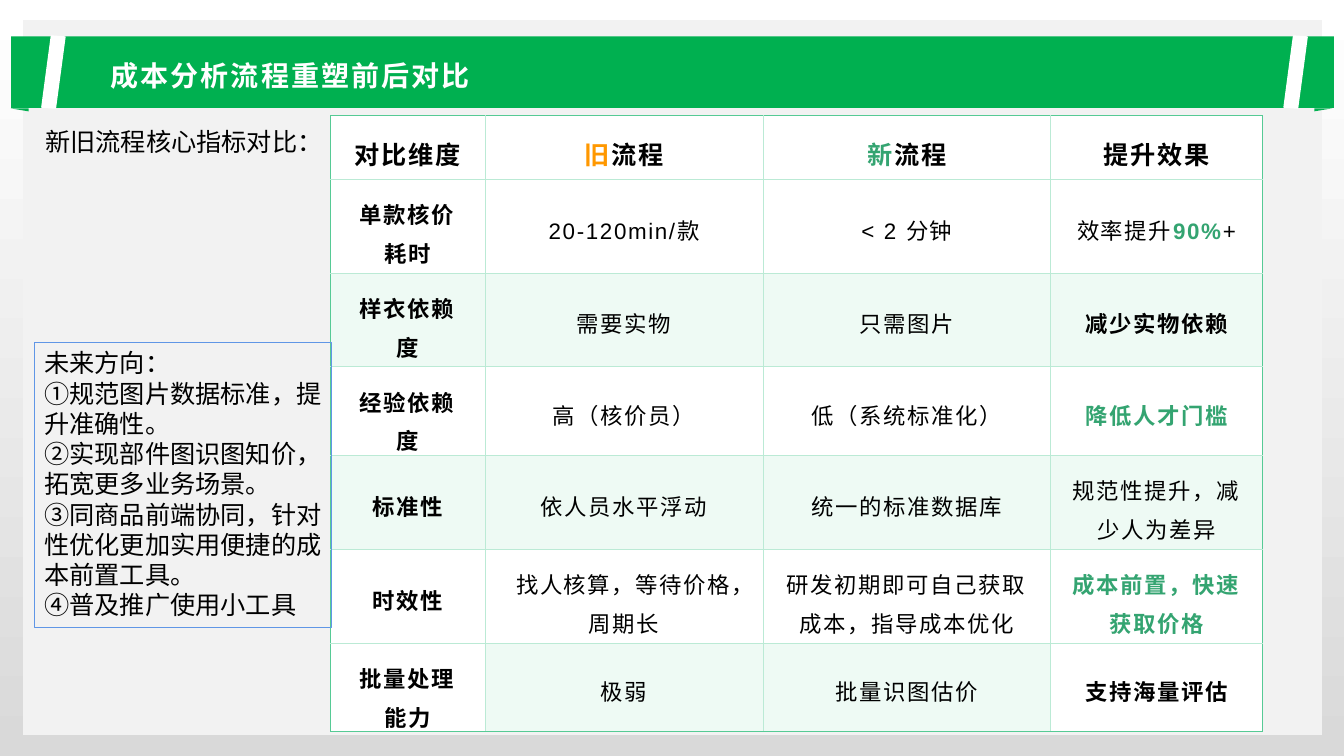
from lxml import etree
from pptx import Presentation
from pptx.dml.color import RGBColor
from pptx.enum.shapes import MSO_SHAPE
from pptx.enum.text import MSO_ANCHOR, MSO_AUTO_SIZE, PP_ALIGN
from pptx.oxml.ns import qn
from pptx.util import Inches, Pt

RECT, TRIANGLE, SLANT = MSO_SHAPE.RECTANGLE, MSO_SHAPE.ISOSCELES_TRIANGLE, MSO_SHAPE.PARALLELOGRAM
MIDDLE, TOP = MSO_ANCHOR.MIDDLE, MSO_ANCHOR.TOP
LEFT, CENTER = PP_ALIGN.LEFT, PP_ALIGN.CENTER
FIXED, GROW = MSO_AUTO_SIZE.NONE, MSO_AUTO_SIZE.SHAPE_TO_FIT_TEXT

WHITE = RGBColor(0xFF, 0xFF, 0xFF)
BLACK = RGBColor(0, 0, 0)
SILVER = RGBColor(0xD9, 0xD9, 0xD9)
PANEL = RGBColor(0xF2, 0xF2, 0xF2)
BANNER = RGBColor(0x00, 0xB0, 0x50)
BLUE = RGBColor(0x60, 0x96, 0xE6)
ORANGE = RGBColor(0xFF, 0x98, 0x00)
GREEN = RGBColor(0x34, 0xA4, 0x71)
MINT = RGBColor(0xEE, 0xFA, 0xF4)
INNER_EDGE = RGBColor(0xBB, 0xEA, 0xD5)
OUTER_EDGE = RGBColor(0x56, 0xCA, 0x95)

PLAIN, BOLD = (BLACK, False), (BLACK, True)
OLD, GAIN = (ORANGE, True), (GREEN, True)

prs = Presentation()
prs.slide_width, prs.slide_height = Inches(13.33), Inches(7.5)
slide = prs.slides.add_slide(prs.slide_layouts[5])
shapes = slide.shapes

backdrop = slide.background.fill
backdrop.gradient()
backdrop.gradient_angle = 270
for stop, colour in zip(backdrop.gradient_stops, (WHITE, SILVER)):
    stop.color.rgb = colour


def add_block(kind, box, fill=None, line=None, width=1, rotation=0):
    block = shapes.add_shape(kind, *map(Inches, box))
    block.shadow.inherit = False
    block.rotation = rotation
    for part, colour in ((block.fill, fill), (block.line.fill, line)):
        if colour is None:
            part.background()
        else:
            part.solid()
            part.fore_color.rgb = colour
    if line is not None:
        block.line.width = Pt(width)
    return block


def write(paragraph, runs, size, tracking=0):
    for text, (colour, bold) in runs:
        run = paragraph.add_run()
        run.text = text
        for key, value in {"name": "Arial", "size": Pt(size), "bold": bold}.items():
            setattr(run.font, key, value)
        run.font.color.rgb = colour
        if tracking:
            run.font._element.set("spc", str(round(tracking * 100)))


add_block(RECT, (0.23, 0.2, 12.88, 7.09), PANEL)
add_block(RECT, (0.11, 0.36, 13.12, 0.71), BANNER)
for fold_left, turn, apex in ((0.18, 270, 1), (13.11, 90, 0)):
    fold = add_block(TRIANGLE, (fold_left, 1, 0.03, 0.18), BANNER, rotation=turn)
    fold.adjustments[0] = apex
for stripe_left in (12.76, 0.44):
    add_block(SLANT, (stripe_left, 0.36, 0.18, 0.71), WHITE, WHITE, rotation=4)

title = shapes.title
title.left, title.top, title.width, title.height = map(Inches, (0.91, 0.44, 8.12, 0.51))
shapes.element.append(title.element)
for key, value in {"word_wrap": True, "auto_size": FIXED, "vertical_anchor": MIDDLE}.items():
    setattr(title.text_frame, key, value)
heading = title.text_frame.paragraphs[0]
for key, value in {"alignment": LEFT, "line_spacing": 1.3, "space_after": Pt(10)}.items():
    setattr(heading, key, value)
write(heading, [(" 成本分析流程重塑前后对比", (WHITE, True))], 20, 1.5)

intro = shapes.add_textbox(*map(Inches, (0.35, 1.2, 3.12, 0.4))).text_frame
intro.word_wrap = True
intro.auto_size = GROW
write(intro.paragraphs[0], [("新旧流程核心指标对比：", PLAIN)], 18)

column_widths = (1.53, 2.76, 2.85, 2.1)
row_heights = (0.63, 0.93, 0.93, 0.59, 0.93, 0.93, 0.59)
comparison = [
    ([("对比维度", BOLD)], [("旧", OLD), ("流程", BOLD)],
     [("新", GAIN), ("流程", BOLD)], [("提升效果", BOLD)]),
    ([("单款核价耗时", BOLD)], [("20-120min/款", PLAIN)], [("< 2 分钟", PLAIN)],
     [("效率提升", PLAIN), ("90%", GAIN), ("+", PLAIN)]),
    ([("样衣依赖度", BOLD)], [("需要实物", PLAIN)], [("只需图片", PLAIN)],
     [("减少实物依赖", BOLD)]),
    ([("经验依赖度", BOLD)], [("高（核价员）", PLAIN)], [("低（系统标准化）", PLAIN)],
     [("降低人才门槛", GAIN)]),
    ([("标准性", BOLD)], [("依人员水平浮动", PLAIN)], [("统一的标准数据库", PLAIN)],
     [("规范性提升，减少人为差异", PLAIN)]),
    ([("时效性", BOLD)], [("找人核算，等待价格，周期长", PLAIN)],
     [("研发初期即可自己获取成本，指导成本优化", PLAIN)], [("成本前置，快速获取价格", GAIN)]),
    ([("批量处理能力", BOLD)], [("极弱", PLAIN)], [("批量识图估价", PLAIN)],
     [("支持海量评估", BOLD)]),
]
last_row, last_column = len(row_heights) - 1, len(column_widths) - 1
table = shapes.add_table(
    len(row_heights), len(column_widths), Inches(3.28), Inches(1.15),
    Inches(sum(column_widths)), Inches(sum(row_heights))).table
table.first_row = table.horz_banding = False
for column, width in zip(table.columns, column_widths):
    column.width = Inches(width)
for row, height in zip(table.rows, row_heights):
    row.height = Inches(height)

cell_format = {
    "vertical_anchor": MIDDLE,
    "margin_left": Inches(0.19), "margin_right": Inches(0.19),
    "margin_top": Inches(0.12), "margin_bottom": Inches(0.12),
}
for r, entries in enumerate(comparison):
    for c, runs in enumerate(entries):
        cell = table.cell(r, c)
        for key, value in cell_format.items():
            setattr(cell, key, value)
        white_corner = r == last_row and c in (0, last_column)
        cell.fill.solid()
        cell.fill.fore_color.rgb = MINT if r and r % 2 == 0 and not white_corner else WHITE
        paragraph = cell.text_frame.paragraphs[0]
        paragraph.alignment = CENTER
        paragraph.line_spacing = 1.2
        write(paragraph, runs, 16 if r else 18, 1.2 if r else 1.3)
        outer_sides = {"L": c == 0, "R": c == last_column, "T": r == 0, "B": r == last_row}
        properties = cell._tc.get_or_add_tcPr()
        for order, (side, outer) in enumerate(outer_sides.items()):
            edge = etree.Element(qn(f"a:ln{side}"), w=str(Pt(0.75)))
            solid = etree.SubElement(edge, qn("a:solidFill"))
            etree.SubElement(solid, qn("a:srgbClr"), val=str(OUTER_EDGE if outer else INNER_EDGE))
            properties.insert(order, edge)

directions = [
    "未来方向：",
    "①规范图片数据标准，提升准确性。",
    "②实现部件图识图知价，拓宽更多业务场景。",
    "③同商品前端协同，针对性优化更加实用便捷的成本前置工具。",
    "④普及推广使用小工具",
]
outlook = add_block(RECT, (0.34, 3.4, 2.95, 2.83), line=BLUE, width=0.75).text_frame
for key, value in {"word_wrap": True, "auto_size": GROW, "vertical_anchor": TOP}.items():
    setattr(outlook, key, value)
for index, direction in enumerate(directions):
    paragraph = outlook.add_paragraph() if index else outlook.paragraphs[0]
    paragraph.alignment = LEFT
    write(paragraph, [(direction, PLAIN)], 18)

prs.save("out.pptx")
